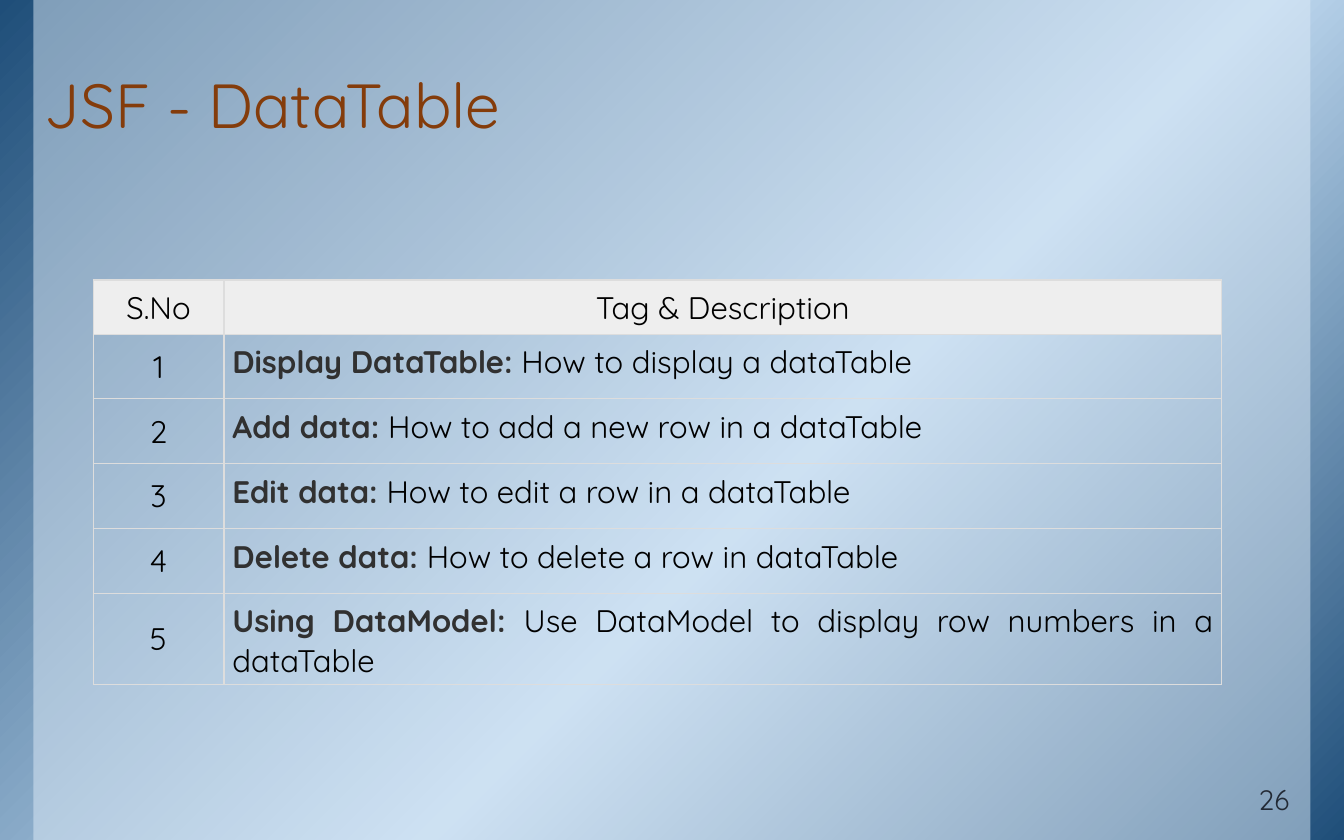
from copy import deepcopy

from lxml import etree
from pptx import Presentation
from pptx.dml.color import RGBColor
from pptx.enum.shapes import MSO_SHAPE
from pptx.enum.text import MSO_ANCHOR, PP_ALIGN
from pptx.oxml.ns import qn
from pptx.util import Cm, Pt

RECTANGLE = MSO_SHAPE.RECTANGLE
TOP, MIDDLE, BOTTOM = MSO_ANCHOR.TOP, MSO_ANCHOR.MIDDLE, MSO_ANCHOR.BOTTOM
LEFT, CENTER, RIGHT, JUSTIFY = PP_ALIGN.LEFT, PP_ALIGN.CENTER, PP_ALIGN.RIGHT, PP_ALIGN.JUSTIFY

FONT = "Quicksand"
COLORS = {
    "deep": "1F4E79",
    "light": "BDD7EE",
    "panel": "DEEBF7",
    "title": "843C0B",
    "number": "222A35",
    "text": "000000",
    "label": "313131",
    "header": "EEEEEE",
    "border": "DDDDDD",
}
GRADIENT = [(0, "deep"), (0.58, "light"), (1, "deep")]
HEADINGS = ["S.No", "Tag & Description"]
TAGS = [
    ("Display DataTable: ", "How to display a dataTable"),
    ("Add data: ", "How to add a new row in a dataTable"),
    ("Edit data: ", "How to edit a row in a dataTable"),
    ("Delete data: ", "How to delete a row in dataTable"),
    ("Using DataModel: ", "Use DataModel to display row numbers in a dataTable"),
]


def color(name):
    """Return the named palette colour."""
    return RGBColor.from_string(COLORS[name])


def write_runs(paragraph, runs, size, alignment):
    """Write (text, colour name, bold) runs into a paragraph."""
    paragraph.alignment = alignment
    for text, color_name, bold in runs:
        run = paragraph.add_run()
        run.text = text
        for name, value in {"name": FONT, "size": Pt(size), "bold": bold}.items():
            setattr(run.font, name, value)
        run.font.color.rgb = color(color_name)


def add_rectangle(slide, left, top, width, height):
    """Add a rectangle without line or shadow."""
    shape = slide.shapes.add_shape(RECTANGLE, left, top, width, height)
    shape.shadow.inherit = False
    shape.line.fill.background()
    return shape


def add_background(slide, left, top, width, height):
    """Fill the box with a diagonal gradient under a translucent panel."""
    backdrop = add_rectangle(slide, left, top, width, height)
    backdrop.fill.gradient()
    backdrop.fill.gradient_angle = 315
    stop_list = backdrop._element.spPr.find(".//" + qn("a:gsLst"))
    stop_list.append(deepcopy(stop_list[0]))
    for stop, (position, name) in zip(backdrop.fill.gradient_stops, GRADIENT):
        stop.position = position
        stop.color.rgb = color(name)

    margin = Cm(0.76)
    panel = add_rectangle(slide, left + margin, top, width - 2 * margin, height)
    panel.fill.solid()
    panel.fill.fore_color.rgb = color("panel")
    panel_color = panel._element.spPr.find(".//" + qn("a:srgbClr"))
    etree.SubElement(panel_color, qn("a:alpha"), val="50000")


def add_label(slide, box, text, size, color_name, alignment, line_spacing):
    """Add one line of text at the bottom of the box."""
    frame = slide.shapes.add_textbox(*box).text_frame
    settings = {
        "word_wrap": True,
        "vertical_anchor": BOTTOM,
        "margin_left": Cm(0.33),
        "margin_right": Cm(0.33),
        "margin_top": Cm(0.17),
        "margin_bottom": Cm(0.17),
    }
    for name, value in settings.items():
        setattr(frame, name, value)
    paragraph = frame.paragraphs[0]
    paragraph.line_spacing = line_spacing
    write_runs(paragraph, [(text, color_name, False)], size, alignment)


def fill_cell(cell, runs, alignment, anchor, fill_name=None):
    """Give a cell its text, borders and fill."""
    cell.vertical_anchor = anchor
    for side in ("left", "right", "top", "bottom"):
        setattr(cell, f"margin_{side}", Cm(0.19))
    write_runs(cell.text_frame.paragraphs[0], runs, 20, alignment)
    properties = cell._tc.get_or_add_tcPr()
    for edge in ("a:lnL", "a:lnR", "a:lnT", "a:lnB"):
        line = etree.SubElement(properties, qn(edge), w=str(Pt(0.75)))
        solid = etree.SubElement(line, qn("a:solidFill"))
        etree.SubElement(solid, qn("a:srgbClr"), val=COLORS["border"])
    if fill_name:
        cell.fill.solid()
        cell.fill.fore_color.rgb = color(fill_name)
    else:
        cell.fill.background()


def add_tag_table(slide, left, top, width, height):
    """Add the numbered table of tags and descriptions."""
    table = slide.shapes.add_table(len(TAGS) + 1, 2, left, top, width, height).table
    table.first_row = table.horz_banding = False
    number_width = Cm(2.97)
    table.columns[0].width = number_width
    table.columns[1].width = width - number_width
    row_heights = [0.91] + [1.47] * (len(TAGS) - 1) + [0.79]
    for row, row_height in zip(table.rows, row_heights):
        row.height = Cm(row_height)
    for column, heading in enumerate(HEADINGS):
        fill_cell(table.cell(0, column), [(heading, "text", False)], CENTER, TOP, "header")
    for number, (tag, description) in enumerate(TAGS, 1):
        fill_cell(table.cell(number, 0), [(str(number), "text", False)], CENTER, MIDDLE)
        runs = [(tag, "label", True), (description, "text", False)]
        fill_cell(table.cell(number, 1), runs, JUSTIFY, TOP)


def main():
    """Build and save the slide."""
    presentation = Presentation()
    presentation.slide_width, presentation.slide_height = Cm(30.48), Cm(19.05)
    slide = presentation.slides.add_slide(presentation.slide_layouts[6])
    add_background(slide, 0, 0, presentation.slide_width, presentation.slide_height)
    title_box = Cm(0.69), Cm(0.2), Cm(28.85), Cm(3.18)
    add_label(slide, title_box, "JSF - DataTable", 40, "title", LEFT, 0.85)
    number_box = Cm(26.8), Cm(17.78), Cm(2.77), Cm(0.89)
    add_label(slide, number_box, "26", 18, "number", RIGHT, 1.0)
    add_tag_table(slide, Cm(2.11), Cm(6.35), Cm(25.6), Cm(7.58))
    presentation.save("out.pptx")


if __name__ == "__main__":
    main()
